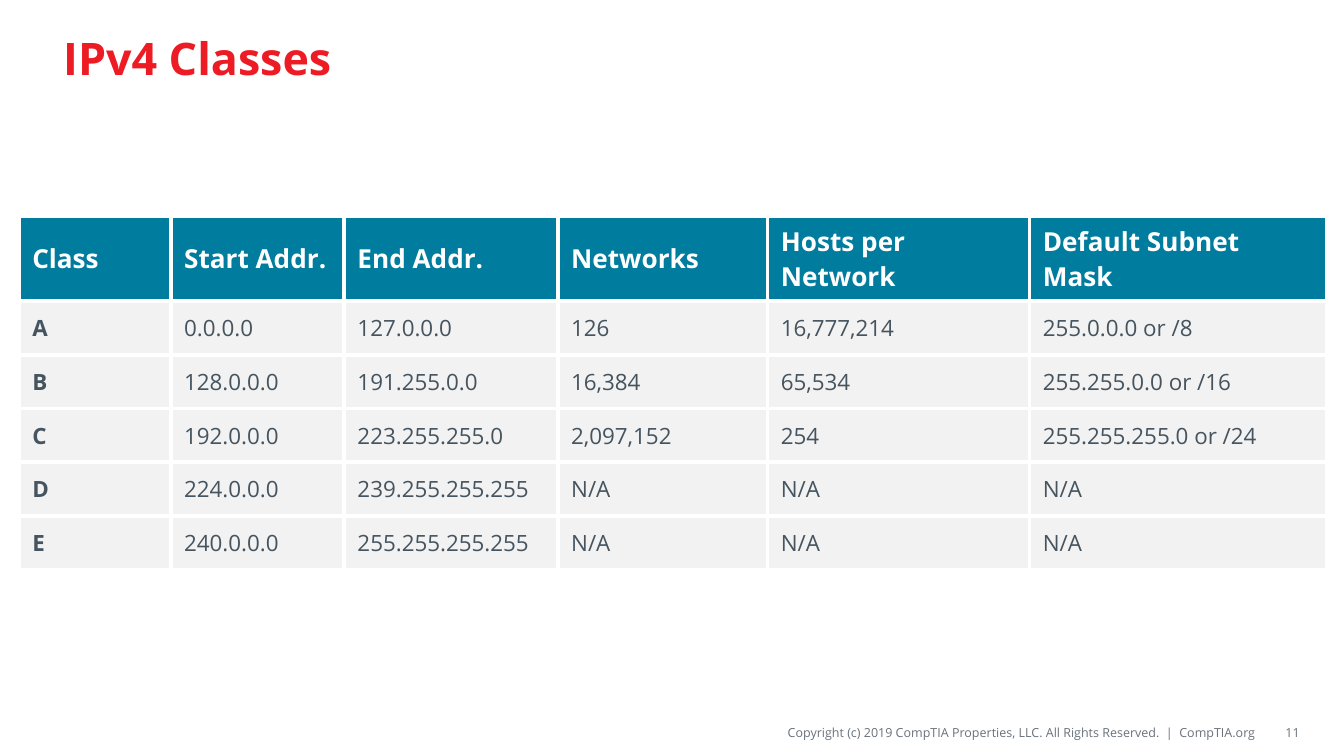
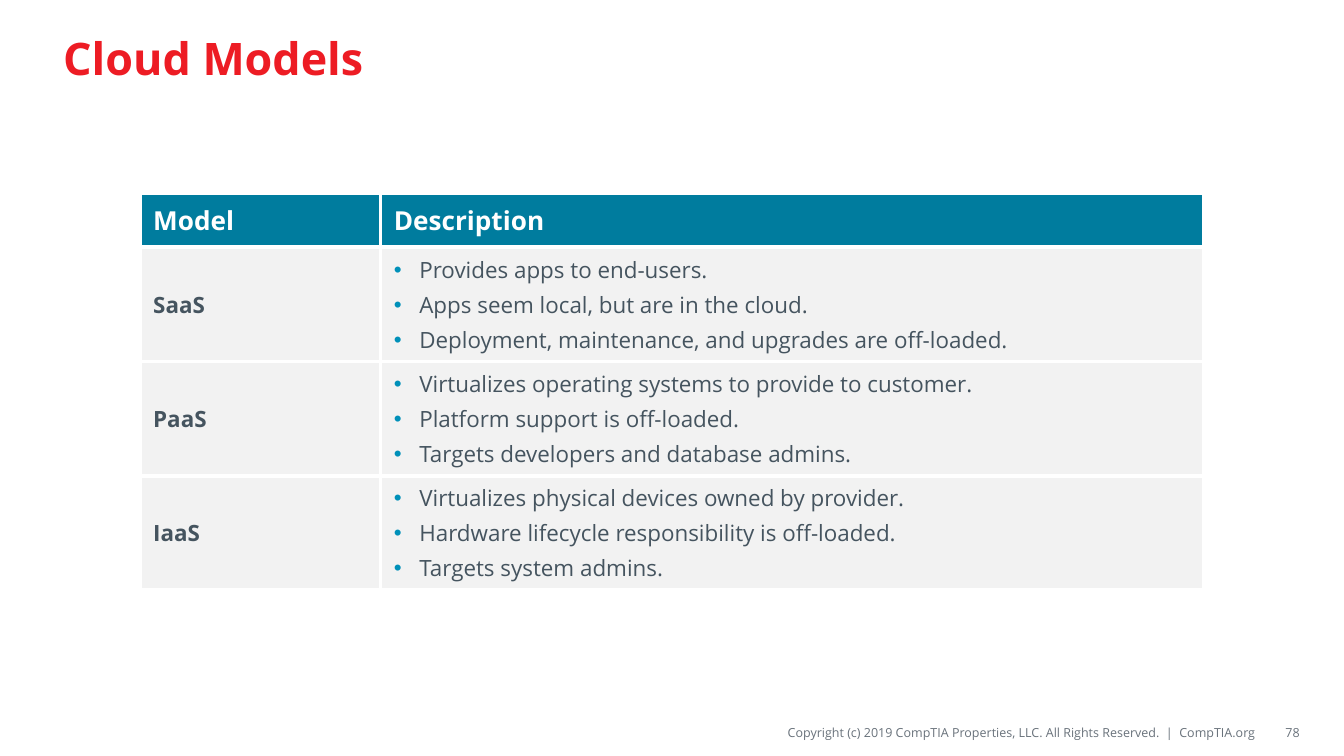
from pptx import Presentation
from pptx.dml.color import RGBColor
from pptx.enum.text import MSO_ANCHOR, MSO_AUTO_SIZE, PP_ALIGN
from pptx.oxml import parse_xml
from pptx.oxml.ns import nsdecls
from pptx.util import Inches, Pt

FONT = "Open Sans"
RED = RGBColor(0xED, 0x1C, 0x24)
TEAL = RGBColor(0x00, 0x7C, 0x9E)
BULLET_BLUE = RGBColor(0x00, 0x90, 0xB9)
SLATE = RGBColor(0x45, 0x54, 0x5F)
GRAY = RGBColor(0x69, 0x72, 0x7B)
PALE = RGBColor(0xF2, 0xF2, 0xF2)
WHITE = RGBColor(0xFF, 0xFF, 0xFF)

COPYRIGHT = ("Copyright (c) 2019 CompTIA Properties, LLC. "
             "All Rights Reserved.  |  CompTIA.org")
BULLET_INDENT = Inches(0.19)

IPV4_WIDTHS = [1.13, 1.29, 1.59, 1.56, 1.95, 2.21]
IPV4_ROWS = [
    ["Class", "Start Addr.", "End Addr.", "Networks", "Hosts per Network",
     "Default Subnet Mask"],
    ["A", "0.0.0.0", "127.0.0.0", "126", "16,777,214", "255.0.0.0 or /8"],
    ["B", "128.0.0.0", "191.255.0.0", "16,384", "65,534", "255.255.0.0 or /16"],
    ["C", "192.0.0.0", "223.255.255.0", "2,097,152", "254",
     "255.255.255.0 or /24"],
    ["D", "224.0.0.0", "239.255.255.255", "N/A", "N/A", "N/A"],
    ["E", "240.0.0.0", "255.255.255.255", "N/A", "N/A", "N/A"],
]

CLOUD_WIDTHS = [1.79, 6.13]
CLOUD_ROWS = [
    ["Model", "Description"],
    ["SaaS", ["Provides apps to end-users.",
              "Apps seem local, but are in the cloud.",
              "Deployment, maintenance, and upgrades are off-loaded."]],
    ["PaaS", ["Virtualizes operating systems to provide to customer.",
              "Platform support is off-loaded.",
              "Targets developers and database admins."]],
    ["IaaS", ["Virtualizes physical devices owned by provider.",
              "Hardware lifecycle responsibility is off-loaded.",
              "Targets system admins."]],
]


def add_bullet(p):
    """Give a paragraph a hanging blue bullet."""
    pPr = p._p.get_or_add_pPr()
    pPr.set("marL", str(BULLET_INDENT))
    pPr.set("indent", str(-BULLET_INDENT))
    for xml in (f'<a:buClr {nsdecls("a")}>'
                f'<a:srgbClr val="{BULLET_BLUE}"/></a:buClr>',
                f'<a:buFont {nsdecls("a")} typeface="Arial"/>',
                f'<a:buChar {nsdecls("a")} char="•"/>'):
        pPr.append(parse_xml(xml))


def write_text(tf, text, size=12, color=SLATE, bold=False,
               align=PP_ALIGN.LEFT):
    """Write a string, or a list of strings as bullets, into a text frame."""
    bulleted = isinstance(text, list)
    for i, line in enumerate(text if bulleted else [text]):
        p = tf.add_paragraph() if i else tf.paragraphs[0]
        p.alignment = align
        p.space_before = Pt(0.2 * size if i else 0)
        if bulleted:
            add_bullet(p)
        r = p.add_run()
        r.text = line
        r.font.name = FONT
        r.font.size = Pt(size)
        r.font.bold = bold
        r.font.color.rgb = color


def add_footer_text(s, text, left, width, inset_left, inset_y):
    """Add a small right-aligned text box on the footer line."""
    tf = s.shapes.add_textbox(Inches(left), Inches(5.34), Inches(width),
                              Inches(0.22)).text_frame
    tf.word_wrap = True
    tf.vertical_anchor = MSO_ANCHOR.MIDDLE
    tf.margin_left, tf.margin_right = Inches(inset_left), 0
    tf.margin_top = tf.margin_bottom = Inches(inset_y)
    write_text(tf, text, size=6.75, color=GRAY, align=PP_ALIGN.RIGHT)


def add_slide(prs, title, number):
    """Add a slide with its title, copyright line and page number."""
    s = prs.slides.add_slide(prs.slide_layouts[5])
    sp = s.shapes.title
    sp.left, sp.top = Inches(0.37), Inches(0.08)
    sp.width, sp.height = Inches(9.25), Inches(0.69)
    tf = sp.text_frame
    tf.auto_size = MSO_AUTO_SIZE.NONE
    tf.vertical_anchor = MSO_ANCHOR.MIDDLE
    write_text(tf, title, size=24, color=RED, bold=True)
    add_footer_text(s, COPYRIGHT, 3.88, 5.47, 0, 0.04)
    add_footer_text(s, str(number), 9.38, 0.29, 0.1, 0.05)
    return s


def set_borders(cell):
    """Draw white borders on all sides of a cell."""
    tcPr = cell._tc.get_or_add_tcPr()
    for side in ("lnL", "lnR", "lnT", "lnB"):
        tcPr.append(parse_xml(
            f'<a:{side} {nsdecls("a")} w="{Pt(2.25)}"><a:solidFill>'
            f'<a:srgbClr val="{WHITE}"/></a:solidFill></a:{side}>'))


def add_grid(s, rows, widths, left, top, header_height, row_height):
    """Add a table with a teal header row and a bold first column."""
    heights = [header_height] + [row_height] * (len(rows) - 1)
    table = s.shapes.add_table(
        len(rows), len(widths), Inches(left), Inches(top),
        Inches(sum(widths)), Inches(sum(heights))).table
    for column, width in zip(table.columns, widths):
        column.width = Inches(width)
    for i, row in enumerate(rows):
        table.rows[i].height = Inches(heights[i])
        for j, text in enumerate(row):
            header = i == 0
            cell = table.cell(i, j)
            set_borders(cell)
            cell.fill.solid()
            cell.fill.fore_color.rgb = TEAL if header else PALE
            cell.vertical_anchor = MSO_ANCHOR.MIDDLE
            write_text(cell.text_frame, text, size=14 if header else 12,
                       color=WHITE if header else SLATE,
                       bold=header or j == 0)


def main():
    """Build the two slides and save them."""
    prs = Presentation()
    prs.slide_width = Inches(10)
    prs.slide_height = prs.slide_width * 9 // 16
    s = add_slide(prs, "IPv4 Classes", 11)
    add_grid(s, IPV4_ROWS, IPV4_WIDTHS, 0.14, 1.61, 0.63, 0.4)
    s = add_slide(prs, "Cloud Models", 78)
    add_grid(s, CLOUD_ROWS, CLOUD_WIDTHS, 1.04, 1.44, 0.4, 0.85)
    prs.save("out.pptx")


if __name__ == "__main__":
    main()
